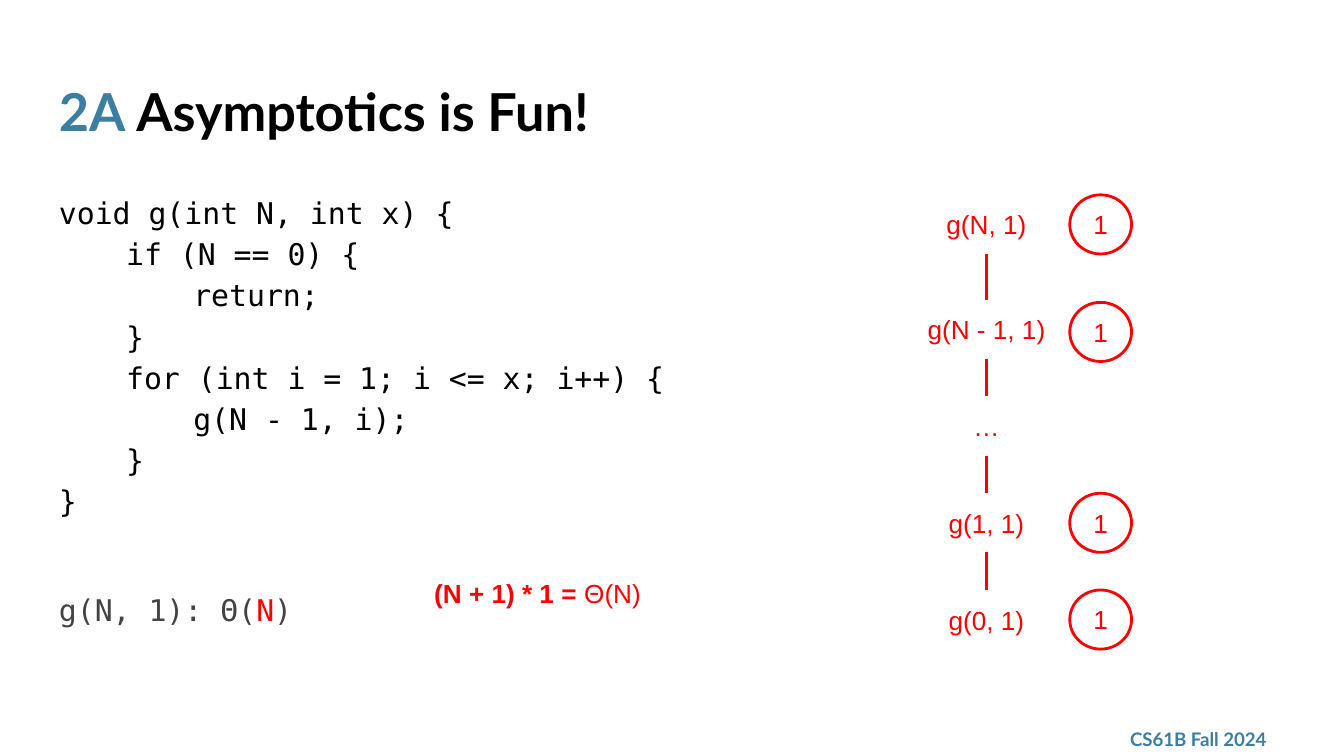
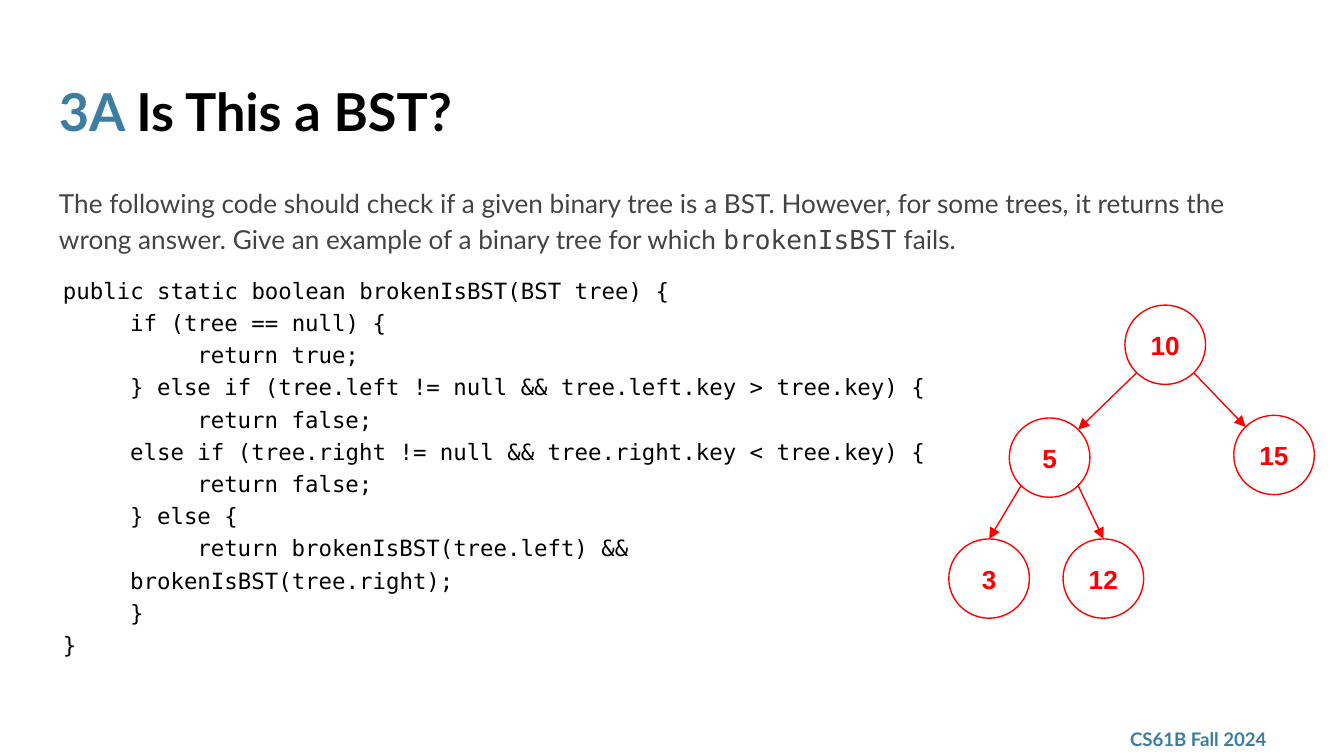
import math

import pptx
import pptx.dml.color
import pptx.enum.shapes
import pptx.enum.text
import pptx.oxml.ns
import pptx.util

PX = 9144  # EMU in one px, 100 px to the inch
WIDE = 1000
PAD = 10
STEP = 50  # one level of code indent

ALIGN = pptx.enum.text.PP_ALIGN
ANCHOR = pptx.enum.text.MSO_ANCHOR
SHAPE = pptx.enum.shapes.MSO_SHAPE
LINE = pptx.enum.shapes.MSO_CONNECTOR.STRAIGHT

THEME = {
    "blue": "3B7EA1", "black": "000000", "gray": "434343",
    "red": "FF0000", "white": "FFFFFF",
    "sans": "Lato", "mono": "DejaVu Sans Mono", "mark": "Arial",
    "title": 28, "code": 16, "body": 14, "small": 12, "foot": 10,
    "thick": 1.5, "thin": 0.75,
}

LOOP = """void g(int N, int x) {
    if (N == 0) {
        return;
    }
    for (int i = 1; i <= x; i++) {
        g(N - 1, i);
    }
}"""

CHECK = """public static boolean brokenIsBST(BST tree) {
    if (tree == null) {
        return true;
    } else if (tree.left != null && tree.left.key > tree.key) {
        return false;
    else if (tree.right != null && tree.right.key < tree.key) {
        return false;
    } else {
        return brokenIsBST(tree.left) && brokenIsBST(tree.right);
    }
}"""


def px(*nums):
    return [n * PX for n in nums]


def rgb(name):
    return pptx.dml.color.RGBColor.from_string(THEME[name])


def style(obj, vals):
    for key, val in vals.items():
        setattr(obj, key, val)


def run(para, text, face, size, color, bold=False):
    part = para.add_run()
    part.text = text
    style(part.font, {"name": THEME[face], "bold": bold,
                      "size": pptx.util.Pt(THEME[size])})
    part.font.color.rgb = rgb(color)


def frame(shape, anchor=ANCHOR.TOP, wrap=True):
    text = shape.text_frame
    sides = ("left", "top", "right", "bottom")
    style(text, {f"margin_{side}": PAD * PX for side in sides})
    style(text, {"word_wrap": wrap, "vertical_anchor": anchor})
    return text


def label(slide, box, runs, anchor=ANCHOR.TOP, align=ALIGN.LEFT, gap=1.0):
    """Text box with one paragraph of runs."""
    shape = slide.shapes.add_textbox(*px(*box))
    para = frame(shape, anchor).paragraphs[0]
    style(para, {"alignment": align, "line_spacing": gap})
    for item in runs:
        run(para, *item)
    return shape


def code(slide, box, lines, size, gap):
    """Listing whose leading spaces become indents."""
    text = frame(slide.shapes.add_textbox(*px(*box)))
    for num, line in enumerate(lines.splitlines()):
        para = text.add_paragraph() if num else text.paragraphs[0]
        para.line_spacing = gap
        bare = line.lstrip()
        depth = (len(line) - len(bare)) // 4
        left = min(depth, 1)
        props = para._p.get_or_add_pPr()
        props.set("marL", str(left * STEP * PX))
        props.set("indent", str((depth - left) * STEP * PX))
        run(para, bare, "mono", size, "black")


def stroke(line, width):
    line.color.rgb = rgb("red")
    line.width = pptx.util.Pt(THEME[width])


def ring(slide, box, text, width, bold=False, fill=None):
    """Red circle with a centred value."""
    shape = slide.shapes.add_shape(SHAPE.OVAL, *px(*box))
    shape.shadow.inherit = False
    if fill:
        shape.fill.solid()
        shape.fill.fore_color.rgb = rgb(fill)
    else:
        shape.fill.background()
    stroke(shape.line, width)
    para = frame(shape, ANCHOR.MIDDLE, False).paragraphs[0]
    para.alignment = ALIGN.CENTER
    run(para, text, "mark", "body", "red", bold)
    return shape


def link(slide, start, end, width, arrow=False):
    """Red line between two points in EMU."""
    line = slide.shapes.add_connector(LINE, *start, *end)
    stroke(line.line, width)
    name = pptx.oxml.ns.qn
    props = line._element.spPr
    if arrow:
        pen = props.find(name("a:ln"))
        pen.append(pen.makeelement(name("a:tailEnd"), {"type": "triangle"}))
    props.append(props.makeelement(name("a:effectLst"), {}))
    return line


def site(shape, side, rise):
    """Point on a circle: side and rise are -1, 0 or 1."""
    part = 0.5 / math.hypot(side, rise)
    return (round(shape.left + shape.width * (0.5 + side * part)),
            round(shape.top + shape.height * (0.5 + rise * part)))


def chain(slide, box):
    """Column of calls, with the work of each in a circle."""
    left, top, wide, _ = box
    calls = [("g(N, 1)", 0, 0), ("g(N - 1, 1)", 78, 80), ("…", 150, None),
             ("g(1, 1)", 222, 222), ("g(0, 1)", 294, 294)]
    last = None
    for text, drop, work in calls:
        call = label(slide, (left, top + drop, 124, 44),
                     [(text, "mark", "body", "red")],
                     ANCHOR.MIDDLE, ALIGN.CENTER)
        if work is not None:
            ring(slide, (left + wide - 46, top + work, 46, 44), "1", "thick")
        if last is not None:
            line = link(slide, (0, 0), (0, 0), "thick")
            line.begin_connect(last, 2)
            line.end_connect(call, 0)
        last = call


def tree(slide, box):
    """Binary tree of circles joined by arrows."""
    left, top = box[:2]
    spots = {"10": (131, 0), "5": (45, 84), "15": (212, 82),
             "3": (0, 174), "12": (85, 174)}
    nodes = {key: ring(slide, (left + x, top + y, 60, 59), key, "thin",
                       True, "white")
             for key, (x, y) in spots.items()}
    # side of the parent, then side of the child where the arrow lands
    edges = [("10", "5", -1, 1), ("10", "15", 1, -1),
             ("5", "3", -1, 0), ("5", "12", 1, 0)]
    for head, child, out, land in edges:
        line = link(slide, site(nodes[head], out, 1),
                    site(nodes[child], land, -1), "thin", True)
        if land == 0:
            line.end_connect(nodes[child], 0)


def page(deck, mark, title):
    """Blank slide with the shared title and footer."""
    slide = deck.slides.add_slide(deck.slide_layouts[6])
    label(slide, (831, 537, 135, 26),
          [("CS61B Fall 2024", "sans", "foot", "blue", True)], ANCHOR.MIDDLE)
    label(slide, (34, 49, 932, 63),
          [(mark + " ", "sans", "title", "blue", True),
           (title, "sans", "title", "black", True)])
    return slide


def growth(deck):
    slide = page(deck, "2A", "Asymptotics is Fun!")
    code(slide, (34, 131, 525, 257), LOOP, "code", 1.15)
    # answer and its working
    label(slide, (34, 417, 212, 47),
          [("g(N, 1): Θ(", "mono", "code", "gray"),
           ("N", "mono", "code", "red"),
           (")", "mono", "code", "gray")], gap=1.5)
    chain(slide, (672, 145, 170, 338))
    label(slide, (300, 419, 200, 44),
          [("(N + 1) * 1 = ", "mark", "body", "red", True),
           ("Θ(N)", "mark", "body", "red")], ANCHOR.MIDDLE, ALIGN.CENTER)


def search(deck):
    slide = page(deck, "3A", "Is This a BST?")
    label(slide, (34, 126, 932, 86),
          [("The following code should check if a given binary tree is a "
            "BST. However, for some trees, it returns the wrong answer. Give "
            "an example of a binary tree for which ", "sans", "body", "gray"),
           ("brokenIsBST", "mono", "body", "gray"),
           (" fails.", "sans", "body", "gray")], gap=1.15)
    tree(slide, (706, 227, 272, 233))
    code(slide, (37, 192, 668, 307), CHECK, "small", 1.2)


def main():
    deck = pptx.Presentation()
    # 16:9 page
    deck.slide_width = WIDE * PX
    deck.slide_height = WIDE * PX * 9 // 16
    growth(deck)
    search(deck)
    deck.save("out.pptx")


if __name__ == "__main__":
    main()
